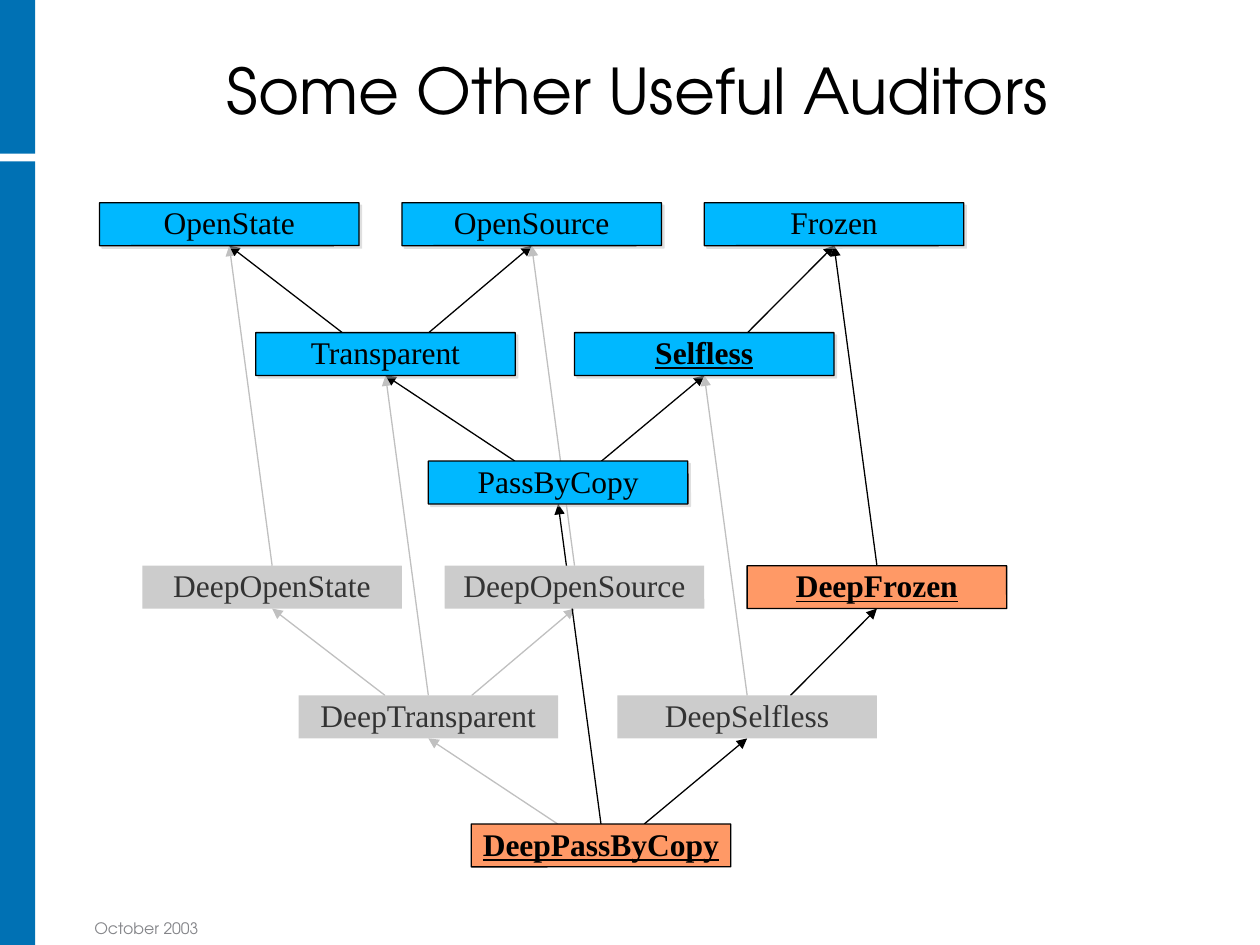
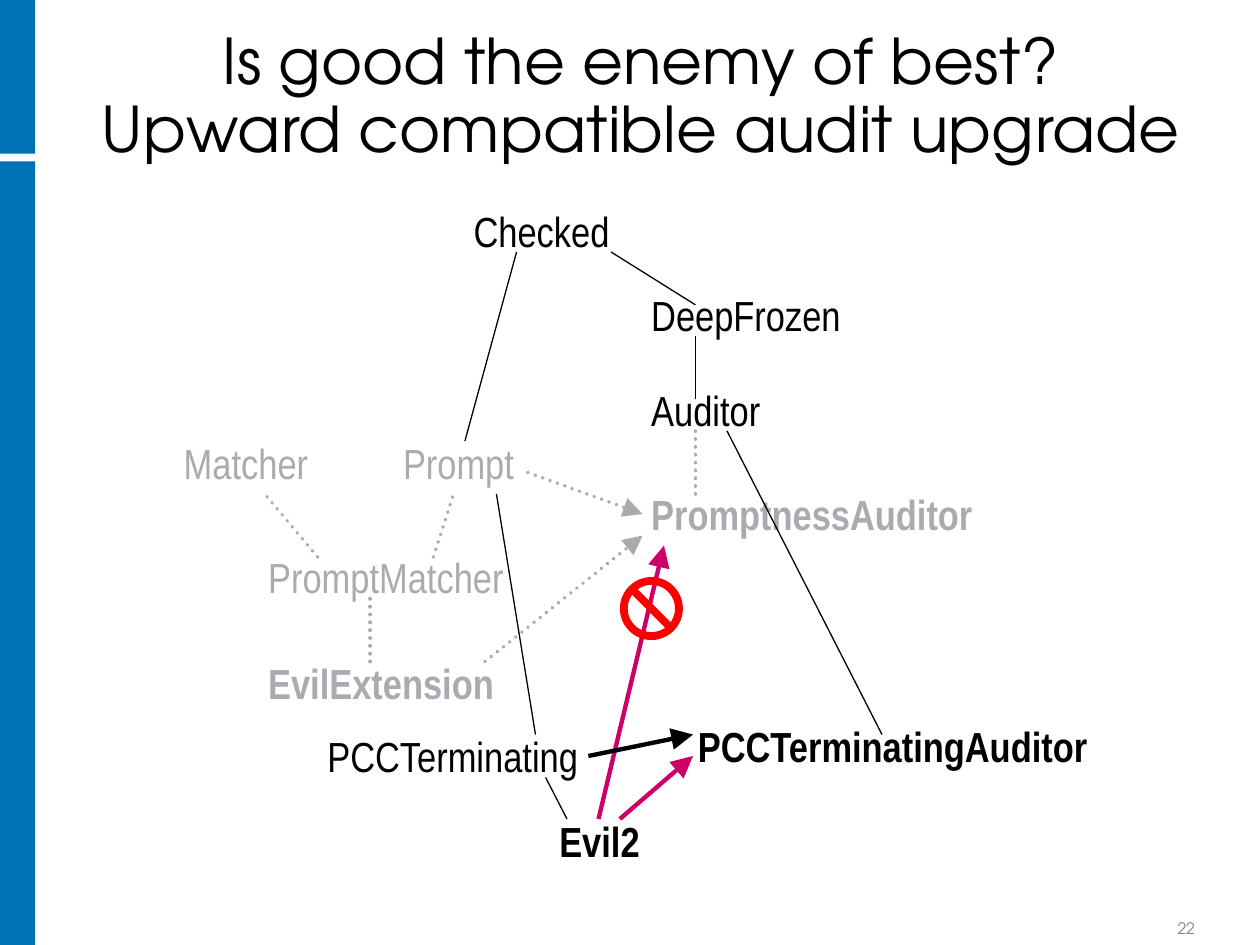
import dataclasses

import pptx
import pptx.dml.color
import pptx.enum.dml
import pptx.enum.shapes
import pptx.enum.text
import pptx.oxml
import pptx.oxml.ns
import pptx.util
from lxml import etree

Inches = pptx.util.Inches
RGB = pptx.dml.color.RGBColor.from_string
SHAPE = pptx.enum.shapes.MSO_SHAPE
ALIGN = pptx.enum.text.PP_ALIGN
ANCHOR = pptx.enum.text.MSO_ANCHOR
AUTO_SIZE = pptx.enum.text.MSO_AUTO_SIZE
qn = pptx.oxml.ns.qn


@dataclasses.dataclass(frozen=True)
class Theme:
    band: str = "0071B4"
    ink: str = "000000"
    footer: str = "848589"
    open_fill: str = "00B8FF"
    key_fill: str = "FF9966"
    faint_fill: str = "CCCCCC"
    faint_text: str = "333333"
    faint_line: str = "C0C0C0"
    muted: str = "AAABB0"
    attack: str = "CC0066"
    ban: str = "FF0000"
    title_font: str = "TeX Gyre Adventor"
    box_font: str = "Times New Roman"
    label_font: str = "Arial Narrow"
    title_size: int = 36
    label_size: int = 24
    box_size: int = 18
    footer_size: int = 9
    thin: float = 0.75
    dotted: float = 2.25
    thick: float = 2.5


theme = Theme()


def write(frame, lines, font, size, color, align=ALIGN.LEFT, bold=False, underline=False, spacing=None):
    para = frame.paragraphs[0]
    para.alignment = align
    if spacing:
        para.line_spacing = spacing
    for index, line in enumerate(lines):
        if index:
            para.add_line_break()
        span = para.add_run()
        span.text = line
        span.font.name = font
        span.font.size = pptx.util.Pt(size)
        span.font.color.rgb = RGB(color)
        span.font.bold = bold
        span.font.underline = underline


def draw_line(page, start, end, color, width, head=None, dotted=False):
    line = page.shapes.add_connector(
        pptx.enum.shapes.MSO_CONNECTOR.STRAIGHT,
        Inches(start[0]), Inches(start[1]), Inches(end[0]), Inches(end[1]))
    line.line.color.rgb = RGB(color)
    line.line.width = pptx.util.Pt(width)
    properties = line.element.spPr
    stroke = properties.find(qn("a:ln"))
    if dotted:
        line.line.dash_style = pptx.enum.dml.MSO_LINE.ROUND_DOT
        stroke.set("cap", "rnd")
    if head:
        etree.SubElement(stroke, qn("a:tailEnd"), type="triangle", w=head, len=head)
    etree.SubElement(properties, qn("a:effectLst"))
    return line


deck = pptx.Presentation()
deck.slide_width, deck.slide_height = Inches(10), Inches(7.5)

# Shared frame: side bands, title and footer
page_frames = [
    (["Some Other Useful Auditors"], (1.3, 0.43, 7.52, 0.64), ANCHOR.MIDDLE,
     "October 2003", (0.65, 7.25, 1.6, 0.24), ALIGN.LEFT),
    (["Is good the enemy of best?", "Upward compatible audit upgrade"], (0.42, 0.12, 9.33, 1.25), ANCHOR.BOTTOM,
     "22", (9, 7.25, 0.83, 0.24), ALIGN.CENTER),
]
pages = []
for title_lines, title_at, title_anchor, footer_text, footer_at, footer_align in page_frames:
    page = deck.slides.add_slide(deck.slide_layouts[5])
    pages.append(page)
    for top, height in [(0, 1.22), (1.28, 6.22)]:
        band = page.shapes.add_shape(SHAPE.RECTANGLE, 0, Inches(top), Inches(0.28), Inches(height))
        band.shadow.inherit = False
        band.fill.solid()
        band.fill.fore_color.rgb = RGB(theme.band)
        band.line.fill.background()

    title = page.shapes.title
    title.left, title.top, title.width, title.height = map(Inches, title_at)
    title.text_frame.auto_size = AUTO_SIZE.NONE
    title.text_frame.word_wrap = True
    title.text_frame.vertical_anchor = title_anchor
    write(title.text_frame, title_lines, theme.title_font, theme.title_size, theme.ink, ALIGN.CENTER, spacing=0.9)

    footer = page.shapes.add_textbox(*map(Inches, footer_at))
    footer.text_frame.word_wrap = True
    footer.text_frame.vertical_anchor = ANCHOR.BOTTOM
    write(footer.text_frame, [footer_text], theme.title_font, theme.footer_size, theme.footer, footer_align)

auditors_page, upgrade_page = pages

# Auditor lattice: each deep auditor sits one fixed shift from its shallow one
box_width, box_height = 2.06, 0.34
row_tops = [1.61, 2.64, 3.66]
deep_shift_x, deep_shift_y = 0.34, 2.88
auditors = [("OpenState", 0.79, 0), ("OpenSource", 3.19, 0), ("Frozen", 5.59, 0),
            ("Transparent", 2.03, 1), ("Selfless", 4.56, 1), ("PassByCopy", 3.4, 2)]
key_auditors = {"DeepFrozen", "DeepPassByCopy"}
emphasized = key_auditors | {"Selfless"}

boxes = {}
for prefix, shift_x, shift_y in [("", 0, 0), ("Deep", deep_shift_x, deep_shift_y)]:
    for base_name, left, row in auditors:
        name = prefix + base_name
        is_key = name in key_auditors
        is_faint = bool(prefix) and not is_key
        box = auditors_page.shapes.add_shape(
            SHAPE.ROUNDED_RECTANGLE, Inches(left + shift_x), Inches(row_tops[row] + shift_y),
            Inches(box_width), Inches(box_height))
        boxes[name] = box
        box.adjustments[0] = 0.005
        box.shadow.inherit = False
        box.fill.solid()
        if is_faint:
            box.fill.fore_color.rgb = RGB(theme.faint_fill)
            box.line.fill.background()
        else:
            box.fill.fore_color.rgb = RGB(theme.key_fill if is_key else theme.open_fill)
            box.line.color.rgb = RGB(theme.ink)
            box.line.width = pptx.util.Pt(theme.thin)
        if not prefix:
            effects = box.element.spPr.find(qn("a:effectLst"))
            shadow = etree.SubElement(effects, qn("a:outerShdw"), blurRad="0", dist=str(pptx.util.Pt(2)),
                                      dir="2700000", algn="ctr", rotWithShape="0")
            shadow_color = etree.SubElement(shadow, qn("a:srgbClr"), val=theme.faint_line)
            etree.SubElement(shadow_color, qn("a:alpha"), val="50000")
        frame = box.text_frame
        frame.margin_left = frame.margin_right = frame.margin_top = frame.margin_bottom = 0
        frame.vertical_anchor = ANCHOR.MIDDLE
        frame.word_wrap = True
        write(frame, [name], theme.box_font, theme.box_size, theme.faint_text if is_faint else theme.ink,
              ALIGN.CENTER, name in emphasized, name in emphasized, spacing=0.95)

# Arrows leave a box top at one third, the middle or two thirds
left_third, middle, right_third = 1 / 3, 1 / 2, 2 / 3
inheritance = [("Transparent", "OpenState", left_third), ("Transparent", "OpenSource", right_third),
               ("PassByCopy", "Transparent", left_third), ("PassByCopy", "Selfless", right_third),
               ("Selfless", "Frozen", right_third)]
arrows = [("Deep" + base_name, base_name, middle) for base_name, _, _ in auditors]
arrows += [("Deep" + child, "Deep" + parent, part) for child, parent, part in inheritance]
arrows += inheritance
faint_arrows = {("DeepOpenState", "OpenState"), ("DeepOpenSource", "OpenSource"),
                ("DeepTransparent", "Transparent"), ("DeepSelfless", "Selfless"),
                ("DeepTransparent", "DeepOpenState"), ("DeepTransparent", "DeepOpenSource"),
                ("DeepPassByCopy", "DeepTransparent")}
for child, parent, part in sorted(arrows, key=lambda arrow: arrow[:2] not in faint_arrows):
    child_box, parent_box = boxes[child], boxes[parent]
    start = ((child_box.left + part * child_box.width) / Inches(1), child_box.top / Inches(1))
    color = theme.faint_line if (child, parent) in faint_arrows else theme.ink
    arrow = draw_line(auditors_page, start, start, color, theme.thin, head="med")
    if part == middle:
        arrow.begin_connect(child_box, 0)
    arrow.end_connect(parent_box, 2)

# Bring the boxes in front of the arrows
for box in boxes.values():
    box.element.getparent().append(box.element)

# Upgrade diagram: type names, with a little spare width so none breaks
spare_width = 0.04
type_labels = [
    ("Checked", 3.66, 1.58, 1.28, theme.ink, False),
    ("DeepFrozen", 5.07, 2.25, 1.7, theme.ink, False),
    ("Auditor", 5.07, 3, 1.06, theme.ink, False),
    ("Matcher", 1.36, 3.42, 1.19, theme.muted, False),
    ("Prompt", 3.1, 3.42, 1.08, theme.muted, False),
    ("PromptnessAuditor", 5.07, 3.83, 2.75, theme.muted, True),
    ("PromptMatcher", 2.03, 4.33, 2.07, theme.muted, False),
    ("EvilExtension", 2.03, 5.17, 1.99, theme.muted, True),
    ("PCCTerminating", 2.5, 5.75, 2.22, theme.ink, False),
    ("PCCTerminatingAuditor", 5.44, 5.67, 3.31, theme.ink, True),
    ("Evil2", 4.34, 6.42, 0.84, theme.ink, True),
]
for name, left, top, width, color, bold in type_labels:
    label = upgrade_page.shapes.add_textbox(
        Inches(left), Inches(top), Inches(width + spare_width), Inches(0.5))
    label.text_frame.word_wrap = False
    label.text_frame.auto_size = AUTO_SIZE.SHAPE_TO_FIT_TEXT
    write(label.text_frame, [name], theme.label_font, theme.label_size, color, bold=bold)

# Upgrade diagram: links grouped by style
link_groups = [
    (theme.muted, theme.dotted, None, True,
     [((2.94, 5.25), (2.94, 4.75)), ((3.44, 4.42), (3.6, 3.92)),
      ((2.52, 4.42), (2.1, 3.92)), ((5.52, 3.92), (5.52, 3.42))]),
    (theme.muted, theme.dotted, "lg", True,
     [((4.19, 3.75), (5.1, 4.08)), ((3.85, 5.25), (5.1, 4.25))]),
    (theme.ink, theme.thin, None, False,
     [((5.52, 3.17), (5.52, 2.67)), ((5.52, 2.42), (4.85, 2)), ((3.69, 3.5), (4.1, 2)),
      ((7, 5.83), (5.77, 3.42)), ((4.25, 5.83), (3.94, 3.92)), ((4.5, 6.5), (4.33, 6.17))]),
    (theme.attack, theme.thick, "lg", False,
     [((4.92, 6.5), (5.5, 6)), ((4.75, 6.5), (5.27, 4.33))]),
    (theme.ink, theme.thick, "lg", False, [((4.67, 6), (5.5, 5.83))]),
]
for color, width, head, dotted, links in link_groups:
    for start, end in links:
        draw_line(upgrade_page, start, end, color, width, head, dotted)

# Ban sign over the rejected link
ban_sign = upgrade_page.shapes.add_shape(SHAPE.NO_SYMBOL, Inches(4.92), Inches(4.58), Inches(0.5), Inches(0.5))
ban_sign.adjustments[0] = 0.125
ban_sign.shadow.inherit = False
ban_sign.fill.solid()
ban_sign.fill.fore_color.rgb = RGB(theme.ban)
ban_sign.line.fill.background()

deck.save("out.pptx")
